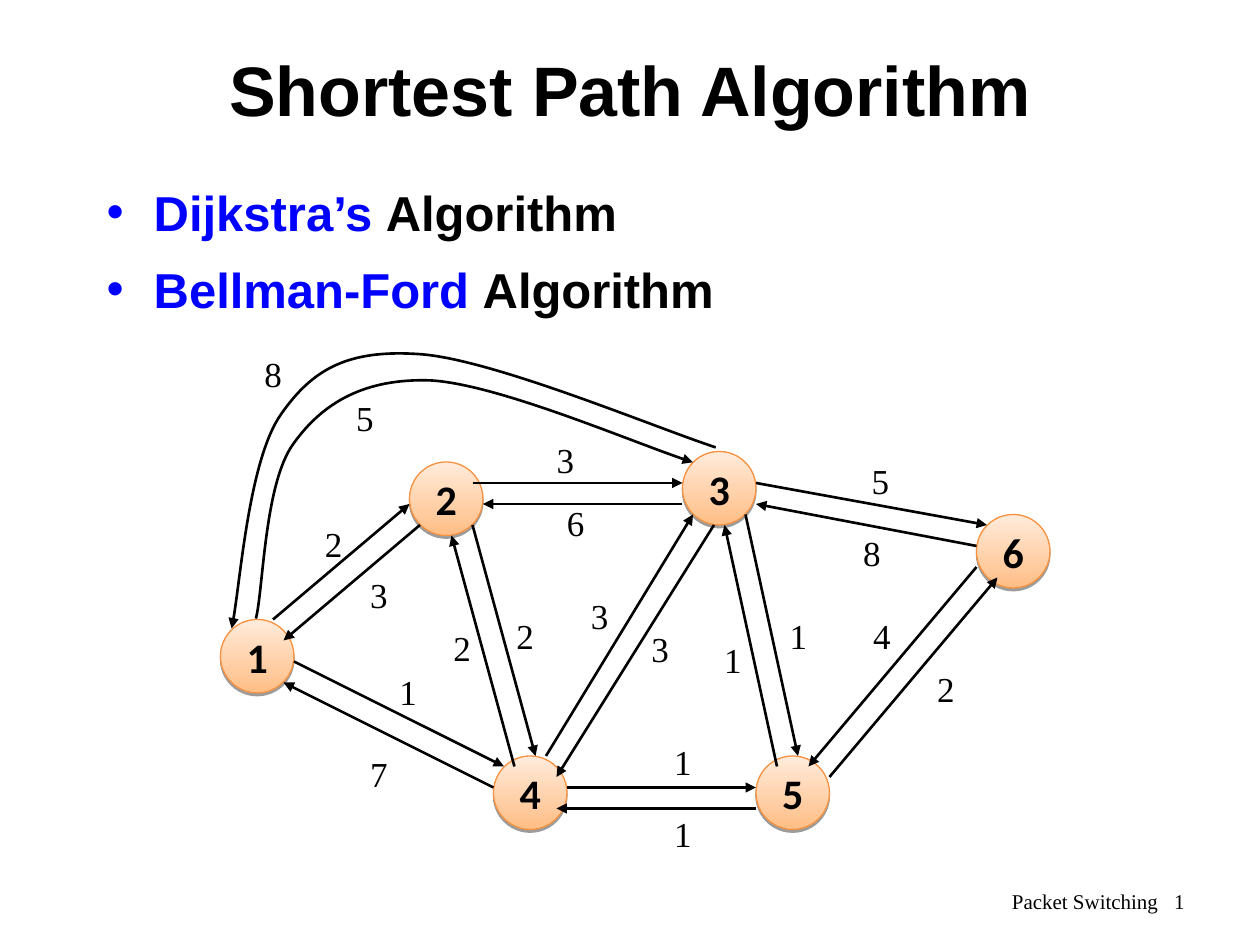
from lxml import etree
from pptx import Presentation
from pptx import util as u
from pptx.dml import color
from pptx.enum import shapes, text
from pptx.oxml import ns


def hue(code):
    return color.RGBColor.from_string(code)


def put(para, words, look, code="000000"):
    run = para.add_run()
    run.text = words
    run.font.color.rgb = hue(code)
    for key, val in look.items():
        setattr(run.font, key, val)
    return run


deck = Presentation()
deck.slide_width, deck.slide_height = u.Cm(25.4), u.Cm(19.05)
slide = deck.slides.add_slide(deck.slide_layouts[6])
pool = slide.shapes
unit = u.Cm(2.54) / 12

head = {"name": "Arial", "size": u.Pt(40), "bold": True}
item = {"name": "Arial", "size": u.Pt(28), "bold": True}
digit = {"name": "Calibri", "size": u.Pt(24), "bold": True}
cost = {"name": "Times New Roman", "size": u.Pt(20)}
foot = {"name": "Times New Roman", "size": u.Pt(12)}
mid = {"word_wrap": True, "vertical_anchor": text.MSO_ANCHOR.MIDDLE}
tight = {"word_wrap": False, "auto_size": text.MSO_AUTO_SIZE.SHAPE_TO_FIT_TEXT}

title = pool.add_textbox(u.Cm(1.9), u.Cm(0.2), u.Cm(21.6), u.Cm(3.18)).text_frame
page = pool.add_textbox(u.Cm(18.2), u.Cm(17.65), u.Cm(5.93), u.Cm(1.02)).text_frame
for frame in (title, page):
    for key, val in mid.items():
        setattr(frame, key, val)
title.paragraphs[0].alignment = text.PP_ALIGN.CENTER
put(title.paragraphs[0], "Shortest Path Algorithm", head)
para = page.paragraphs[0]
para.alignment = text.PP_ALIGN.RIGHT
put(para, "Packet Switching", foot)
gap = put(para, " ", foot)
gap.font._element.set("spc", "600")
put(para, "1", foot)

nodes = [("2", 39, 44), ("3", 65, 43), ("1", 21, 59),
         ("4", 47, 72), ("6", 93, 49), ("5", 72, 72)]
for name, x, y in nodes:
    node = pool.add_shape(shapes.MSO_SHAPE.OVAL, *(int(n * unit) for n in (x, y, 7, 7)))
    node.fill.gradient()
    node.fill.gradient_angle = 90
    for stop, code in zip(node.fill.gradient_stops, ("FFBE86", "FFEBDB")):
        stop.color.rgb = hue(code)
    node.line.color.rgb = hue("F69240")
    node.line.width = u.Pt(0.75)
    node.shadow.inherit = False
    glow = node._element.spPr.find(ns.qn("a:effectLst"))
    shade = etree.SubElement(glow, ns.qn("a:outerShdw"), blurRad="0", dist="20000",
                             dir="5400000", rotWithShape="0")
    black = etree.SubElement(shade, ns.qn("a:srgbClr"), val="000000")
    etree.SubElement(black, ns.qn("a:alpha"), val="38000")
    frame = node.text_frame
    for key, val in {**mid, "word_wrap": False}.items():
        setattr(frame, key, val)
    frame.paragraphs[0].alignment = text.PP_ALIGN.CENTER
    put(frame.paragraphs[0], name, digit)

edges = [
    (26, 59, 39, 48), (40, 50, 27, 61), (45, 46, 65, 46), (65, 48, 46, 48),
    (72, 46, 94, 50), (93, 52, 72, 48), (54, 75, 72, 75), (72, 77, 53, 77),
    (28, 63, 48, 73), (47, 75, 27, 65), (93, 54, 77, 73), (79, 74, 95, 55),
    (45, 50, 51, 72), (49, 73, 43, 51), (52, 72, 66, 49), (68, 50, 53, 74),
    (71, 49, 76, 72), (74, 73, 69, 50),
]
lines = []
for edge in edges:
    ends = (int(n * unit) for n in edge)
    lines.append((pool.add_connector(shapes.MSO_CONNECTOR.STRAIGHT, *ends), "a:tailEnd"))

arcs = [
    ("a:tailEnd", [(5.16, 12.47), (5.31, 11.89), (5.33, 9.73), (5.92, 8.94),
                   (6.5, 8.13), (7.34, 7.62), (8.69, 7.67),
                   (10.03, 7.75), (12.88, 8.97), (13.97, 9.32)]),
    ("a:headEnd", [(4.67, 12.67), (4.83, 11.94), (5.03, 9.27), (5.66, 8.36),
                   (6.3, 7.44), (7.01, 7.04), (8.46, 7.14),
                   (9.93, 7.24), (13.18, 8.61), (14.43, 9.02)]),
]
for end, spots in arcs:
    spots = [(u.Cm(x), u.Cm(y)) for x, y in spots]
    form = pool.build_freeform(*spots[0])
    form.add_line_segments(spots[1:], close=False)
    arc = form.convert_to_shape()
    arc.fill.background()
    route = arc._element.find(".//" + ns.qn("a:path"))
    legs = route.findall(ns.qn("a:lnTo"))
    for i in range(0, len(legs), 3):
        bend = etree.SubElement(route, ns.qn("a:cubicBezTo"))
        for leg in legs[i:i + 3]:
            bend.append(leg[0])
            route.remove(leg)
    lines.append((arc, end))

for line, end in lines:
    line.line.color.rgb = hue("000000")
    line.line.width = u.Pt(1.5)
    props = line._element.spPr
    etree.SubElement(props.find(ns.qn("a:ln")), ns.qn(end), type="triangle")
    etree.SubElement(props, ns.qn("a:effectLst"))

costs = [
    ("8", 5.08, 6.99), ("5", 6.93, 7.87), ("2", 6.3, 10.41), ("3", 7.21, 11.43),
    ("3", 10.97, 8.71), ("6", 11.18, 9.98), ("5", 17.32, 9.14), ("8", 17.15, 10.59),
    ("2", 8.89, 12.5), ("2", 10.16, 12.27), ("3", 11.66, 11.86), ("3", 12.88, 12.52),
    ("1", 14.35, 12.75), ("1", 15.67, 12.27), ("4", 17.35, 12.27), ("2", 18.64, 13.34),
    ("1", 13.34, 14.81), ("1", 13.34, 16.26), ("1", 7.8, 13.39), ("7", 7.21, 15.04),
]
for name, x, y in costs:
    frame = pool.add_textbox(u.Cm(x), u.Cm(y), u.Cm(0.86), u.Cm(1.12)).text_frame
    for key, val in tight.items():
        setattr(frame, key, val)
    put(frame.paragraphs[0], name, cost)

frame = pool.add_textbox(u.Cm(1.9), u.Cm(3.18), u.Cm(21.6), u.Cm(3.18)).text_frame
frame.word_wrap = True
frame.margin_top = u.Cm(0.38)
for i, name in enumerate(("Dijkstra’s ", "Bellman-Ford ")):
    para = frame.add_paragraph() if i else frame.paragraphs[0]
    props = para._p.get_or_add_pPr()
    props.set("marL", str(u.Cm(0.95)))
    props.set("indent", str(u.Cm(-0.95)))
    tint = etree.SubElement(props, ns.qn("a:buClr"))
    etree.SubElement(tint, ns.qn("a:srgbClr"), val="0000FF")
    etree.SubElement(props, ns.qn("a:buFont"), typeface="Arial")
    etree.SubElement(props, ns.qn("a:buChar"), char="•")
    para.line_spacing = 1.1
    para.space_before = u.Pt(7 * i)
    put(para, name, item, "0000FF")
    put(para, "Algorithm", item)

deck.save("out.pptx")
